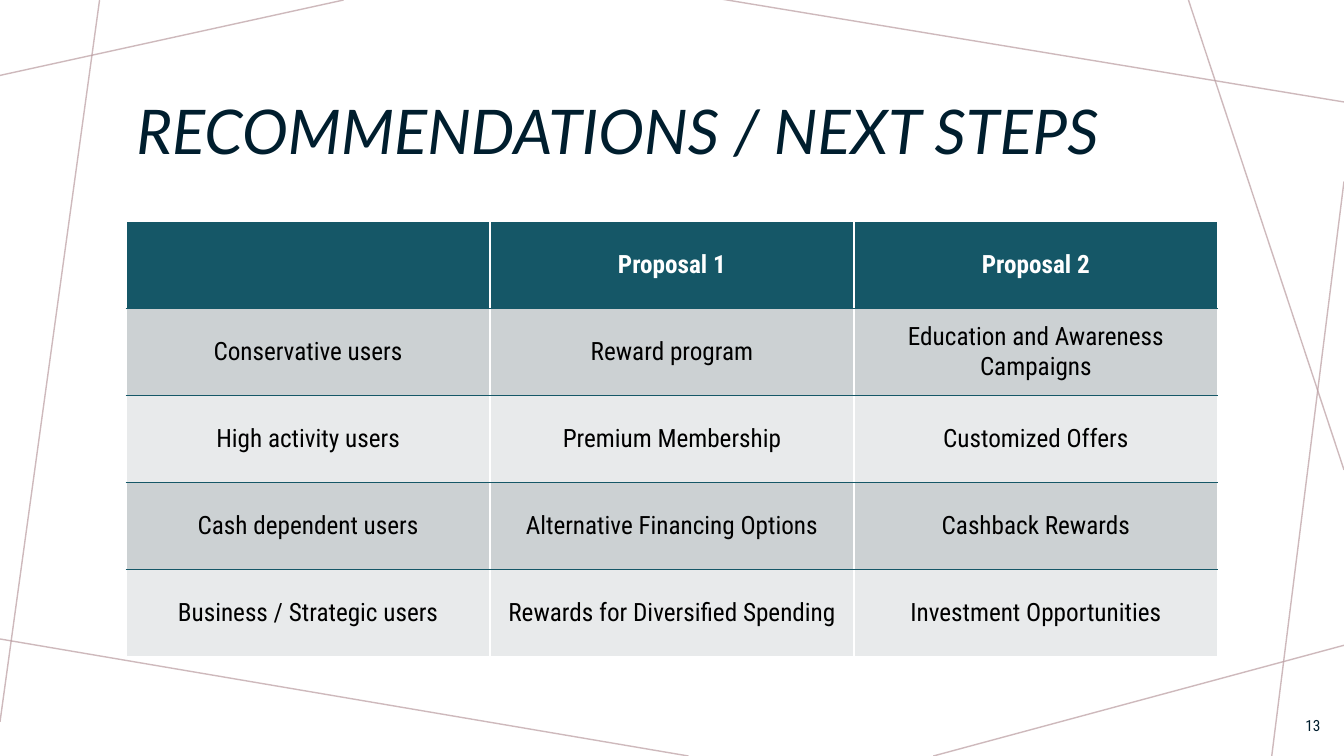
import pptx
import pptx.util
import pptx.dml.color
import pptx.enum.shapes
import pptx.enum.text
import pptx.oxml
import pptx.oxml.ns
import lxml.etree

Cm, Pt = pptx.util.Cm, pptx.util.Pt
ALIGN = pptx.enum.text.PP_ALIGN
MIDDLE = pptx.enum.text.MSO_ANCHOR.MIDDLE
qn = pptx.oxml.ns.qn

COLORS = {
    "ink": "001E2E", "teal": "155767", "rose": "BA9CA0", "white": "FFFFFF",
    "black": "000000", "dark band": "CCD1D3", "light band": "E8EAEB",
}


def rgb(name):
    return pptx.dml.color.RGBColor.from_string(COLORS[name])


class Deck:
    heading_font = "Lato"
    body_font = "Roboto Condensed"

    def __init__(self, width, height):
        self.prs = pptx.Presentation()
        self.prs.slide_width, self.prs.slide_height = Cm(width), Cm(height)
        self.slide = None

    def add_slide(self):
        self.slide = self.prs.slides.add_slide(self.prs.slide_layouts[5])

    def style_text(self, tf, size, color, font, align, bold=False, italic=False):
        tf.word_wrap = True
        for p in tf.paragraphs:
            p.alignment = align
            for r in p.runs:
                r.font.size, r.font.name = Pt(size), font
                r.font.bold, r.font.italic = bold, italic
                r.font.color.rgb = rgb(color)

    def title(self, text, left, top, width, height):
        sp = self.slide.shapes.title
        sp.left, sp.top, sp.width, sp.height = map(Cm, (left, top, width, height))
        tf = sp.text_frame
        tf.text = text
        tf.auto_size = pptx.enum.text.MSO_AUTO_SIZE.NONE
        tf.vertical_anchor = MIDDLE
        tf.paragraphs[0].line_spacing = 0.9
        self.style_text(tf, 44, "ink", self.heading_font, ALIGN.LEFT, italic=True)

    def text(self, text, left, top, width, height):
        sp = self.slide.shapes.add_textbox(*map(Cm, (left, top, width, height)))
        tf = sp.text_frame
        tf.text = text
        tf.vertical_anchor = MIDDLE
        self.style_text(tf, 11, "ink", self.body_font, ALIGN.RIGHT)

    def line(self, x1, y1, x2, y2):
        straight = pptx.enum.shapes.MSO_CONNECTOR.STRAIGHT
        cxn = self.slide.shapes.add_connector(straight, *map(Cm, (x1, y1, x2, y2)))
        cxn.line.width = Pt(1)
        cxn.line.color.rgb = rgb("rose")
        sp_pr = cxn._element.spPr
        # 70 % opacity, no shadow
        clr = sp_pr.find(".//" + qn("a:srgbClr"))
        lxml.etree.SubElement(clr, qn("a:alpha"), val="70000")
        lxml.etree.SubElement(sp_pr, qn("a:effectLst"))

    def border(self, cell, side, color, width):
        ln = lxml.etree.SubElement(cell._tc.get_or_add_tcPr(), qn("a:ln" + side),
                                   w=str(Pt(width)))
        fill = lxml.etree.SubElement(ln, qn("a:solidFill"))
        lxml.etree.SubElement(fill, qn("a:srgbClr"), val=COLORS[color])

    def table(self, rows, left, top, width, height):
        n_rows, n_cols = len(rows), len(rows[0])
        frame = self.slide.shapes.add_table(
            n_rows, n_cols, *map(Cm, (left, top, width, height)))
        tbl = frame.table
        tbl.horz_banding = False
        for i, row in enumerate(rows):
            header = i == 0
            band = "teal" if header else ("light band", "dark band")[i % 2]
            # White outer edges and column gaps, teal rules between rows
            white, teal = ("white", 1), ("teal", 0.75)
            sides = {"L": white, "R": white,
                     "T": white if header else teal,
                     "B": white if i == n_rows - 1 else teal}
            for j, text in enumerate(row):
                cell = tbl.cell(i, j)
                for side, (color, weight) in sides.items():
                    self.border(cell, side, color, weight)
                cell.fill.solid()
                cell.fill.fore_color.rgb = rgb(band)
                cell.vertical_anchor = MIDDLE
                cell.text_frame.text = text
                self.style_text(cell.text_frame, 18, "white" if header else "black",
                                self.body_font, ALIGN.CENTER, bold=header)


WIDTH, HEIGHT = 33.87, 19.05

# Decorative lines crossing the slide edges
EDGE_LINES = [
    (8.66, 0, 0, 1.9),
    (2.51, 0, 0, 18.19),
    (17.35, HEIGHT, -0.13, 16.08),
    (WIDTH, 16.26, 23.52, HEIGHT),
    (WIDTH, 4.57, 32.05, HEIGHT),
    (WIDTH, 11.84, 29.95, 0),
    (WIDTH, 2.57, 18.14, -0.03),
]

PROPOSALS = [
    ("", "Proposal 1", "Proposal 2"),
    ("Conservative users", "Reward program", "Education and Awareness Campaigns"),
    ("High activity users", "Premium Membership", "Customized Offers"),
    ("Cash dependent users", "Alternative Financing Options", "Cashback Rewards"),
    ("Business / Strategic users", "Rewards for Diversified Spending",
     "Investment Opportunities"),
]


def main():
    deck = Deck(WIDTH, HEIGHT)
    deck.add_slide()
    for ends in EDGE_LINES:
        deck.line(*ends)

    # Title and table share their left edge and width
    left, width = 3.18, 27.51
    deck.title("RECOMMENDATIONS / NEXT STEPS", left, 1.47, width, 3.84)
    deck.table(PROPOSALS, left, 5.59, width, 10.95)

    # Slide number
    deck.text("13", 32.23, 17.78, 1.3, 1.02)
    deck.prs.save("out.pptx")


if __name__ == "__main__":
    main()
